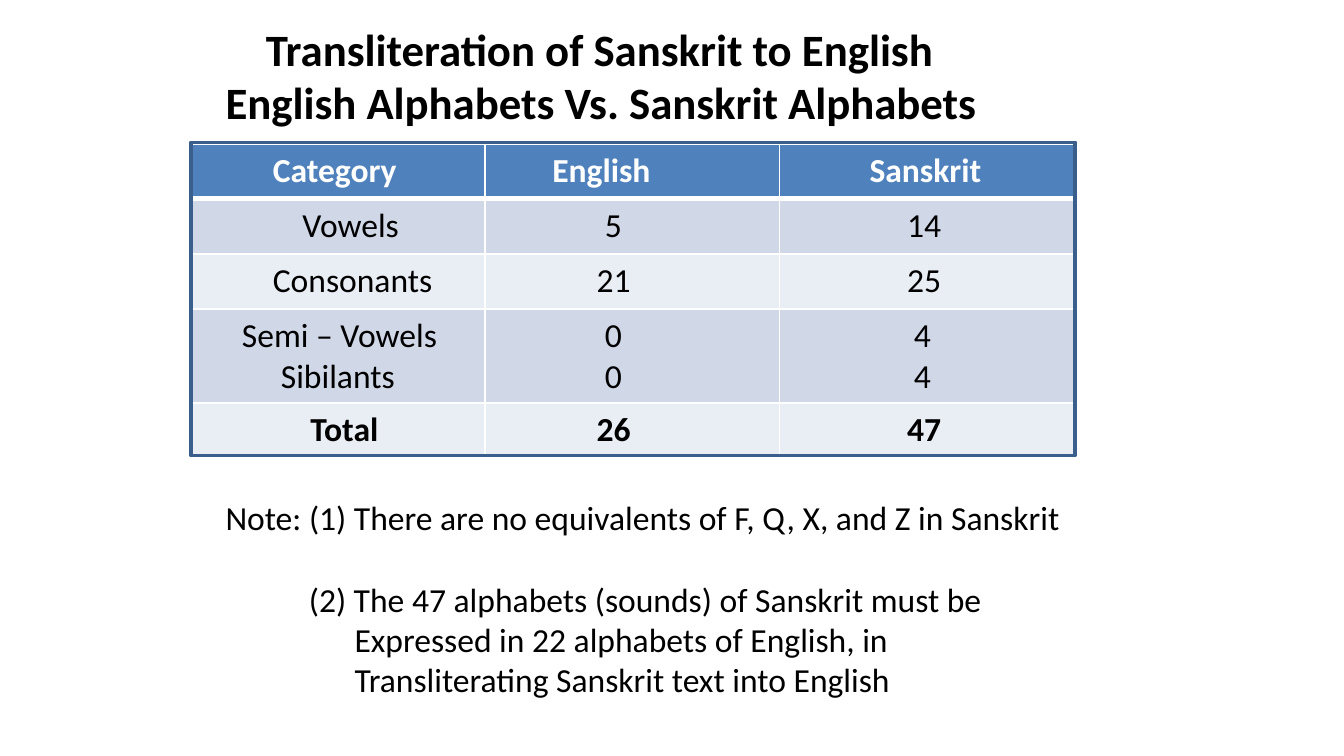
import pptx
import pptx.util
import pptx.dml.color
import pptx.enum.shapes
import lxml.etree

Inches, Pt = pptx.util.Inches, pptx.util.Pt
RGB = pptx.dml.color.RGBColor.from_string
DRAWING = "{http://schemas.openxmlformats.org/drawingml/2006/main}"

THEME = {
    "font": "Calibri", "title": 24, "body": 18,
    "ink": "000000", "header_ink": "FFFFFF", "header": "4F81BD",
    "bands": ("D0D8E8", "E9EDF4"), "frame": "3A5F8C", "grid": "FFFFFF",
}


def write(frame, lines, size, color=THEME["ink"], bold=False, gaps=()):
    for index, (wording, indent) in enumerate(lines):
        line = frame.paragraphs[0] if index == 0 else frame.add_paragraph()
        line._p.get_or_add_pPr().set("marL", str(Inches(indent)))
        if index in gaps:
            line.space_before = Pt(22)
        run = line.add_run()
        run.text = wording
        look = {"name": THEME["font"], "size": Pt(size), "bold": bold}
        for key, value in look.items():
            setattr(run.font, key, value)
        run.font.color.rgb = RGB(color)


def add_borders(cell, widths):
    properties = cell._tc.get_or_add_tcPr()
    for index, (side, width) in enumerate(widths.items()):
        border = lxml.etree.Element(DRAWING + side, w=str(Pt(width)))
        paint = lxml.etree.SubElement(border, DRAWING + "solidFill")
        lxml.etree.SubElement(paint, DRAWING + "srgbClr", val=THEME["grid"])
        properties.insert(index, border)


deck = pptx.Presentation()
deck.slide_width = Inches(10)
deck.slide_height = deck.slide_width * 9 // 16
slide = deck.slides.add_slide(deck.slide_layouts[6])

title = slide.shapes.add_textbox(Inches(1.58), Inches(0.11), Inches(5.85), Inches(1.1))
title.text_frame.word_wrap = True
write(title.text_frame, [
    ("Transliteration of Sanskrit to English", 0.3),
    ("English Alphabets Vs. Sanskrit Alphabets", 0),
], THEME["title"], bold=True)

letter_counts = [
    [[("Category", 0.51)], [("English", 0.4)], [("Sanskrit", 0.57)]],
    [[("Vowels", 0.73)], [("5", 0.79)], [("14", 0.85)]],
    [[("Consonants", 0.51)], [("21", 0.73)], [("25", 0.85)]],
    [[("Semi – Vowels", 0.28), ("Sibilants", 0.57)],
     [("0", 0.79), ("0", 0.79)], [("4", 0.9), ("4", 0.9)]],
    [[("Total", 0.79)], [("26", 0.73)], [("47", 0.85)]],
]
alphabets = slide.shapes.add_table(
    5, 3, Inches(1.42), Inches(1.07), Inches(6.58), Inches(2.34)).table
for column in alphabets.columns:
    column.width = Inches(2.19)
for number, categories in enumerate(letter_counts):
    is_header = number == 0
    is_total = number == len(letter_counts) - 1
    alphabets.rows[number].height = Inches(0.7 if len(categories[0]) > 1 else 0.41)
    for position, lines in enumerate(categories):
        cell = alphabets.cell(number, position)
        cell.fill.solid()
        cell.fill.fore_color.rgb = RGB(
            THEME["header"] if is_header else THEME["bands"][(number - 1) % 2])
        add_borders(cell, {"lnL": 1, "lnR": 1, "lnT": 3 if number == 1 else 1,
                           "lnB": 3 if is_header else 1})
        write(cell.text_frame, lines, THEME["body"],
              THEME["header_ink"] if is_header else THEME["ink"],
              is_header or is_total)

frame = slide.shapes.add_shape(
    pptx.enum.shapes.MSO_SHAPE.RECTANGLE,
    Inches(1.42), Inches(1.06), Inches(6.58), Inches(2.33))
frame.shadow.inherit = False
frame.fill.background()
frame.line.color.rgb = RGB(THEME["frame"])
frame.line.width = Pt(2)

notes = slide.shapes.add_textbox(Inches(1.58), Inches(3.65), Inches(6.46), Inches(1.62))
notes.text_frame.word_wrap = True
write(notes.text_frame, [
    ("Note: (1) There are no equivalents of F, Q, X, and Z in Sanskrit", 0),
    ("(2) The 47 alphabets (sounds) of Sanskrit must be", 0.62),
    ("Expressed in 22 alphabets of English, in", 0.96),
    ("Transliterating Sanskrit text into English", 0.96),
], THEME["body"], gaps=(1,))

deck.save("out.pptx")
